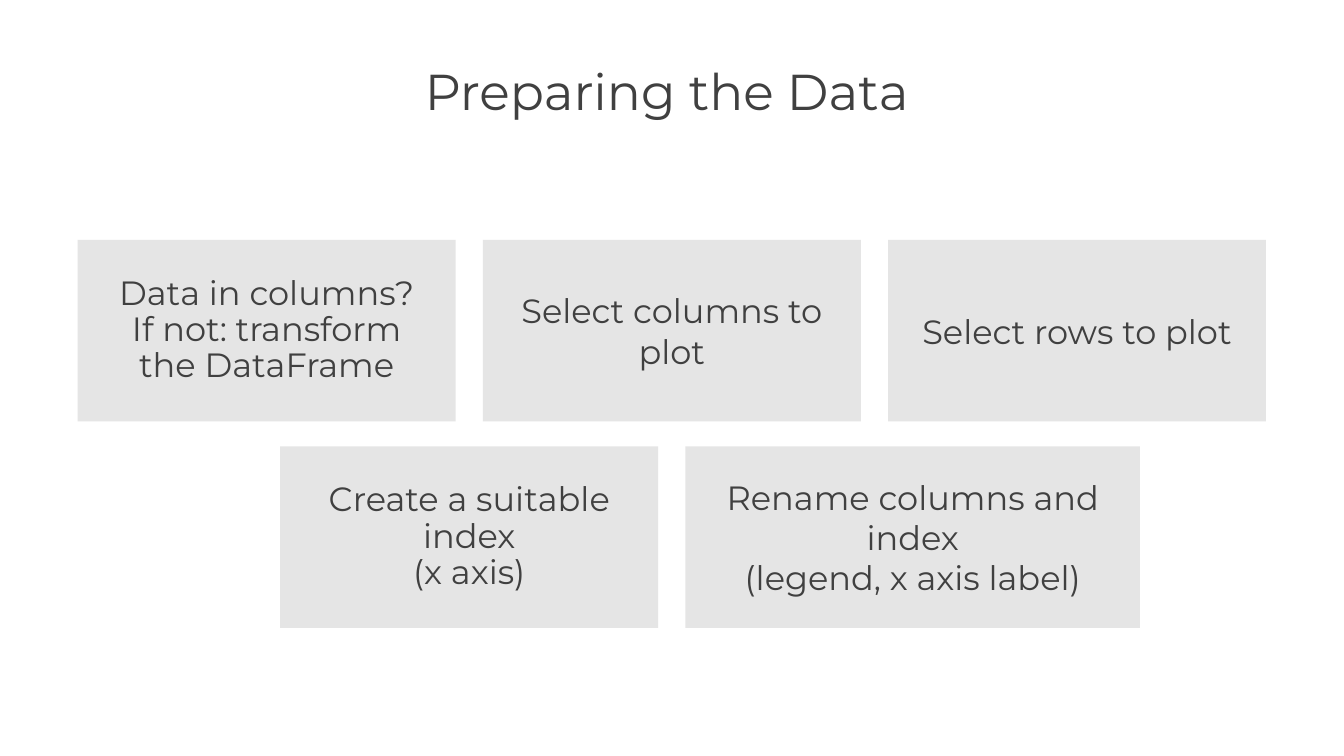
from pptx import Presentation
from pptx.dml.color import RGBColor
from pptx.enum.shapes import MSO_SHAPE
from pptx.enum.text import MSO_ANCHOR, MSO_AUTO_SIZE, PP_ALIGN
from pptx.util import Pt

FONT = "Montserrat"
INK = "404040"
PANEL = "E5E5E5"
LEFT = 55.44
CARD_WIDTH, CARD_HEIGHT = 270, 129.6
COLUMN_GAP, ROW_GAP = 19.44, 18

TOP_ROW = [
    (CARD_WIDTH, ["Data in columns? If not: transform the DataFrame"], 0.9),
    (CARD_WIDTH, ["Select columns to plot"], 1.0),
    (CARD_WIDTH, ["Select rows to plot"], 1.0),
]
BOTTOM_ROW = [
    (CARD_WIDTH, ["Create a suitable index\v(x axis)"], 0.9),
    (324.72, ["Rename columns and index", "(legend, x axis label)"], 1.0),
]


def color(value):
    """Return the colour for a hex string."""
    return RGBColor.from_string(value)


def set_frame(frame, anchor, insets):
    """Set wrapping, anchor and the left, top, right and bottom insets."""
    frame.word_wrap = True
    frame.auto_size = MSO_AUTO_SIZE.NONE
    frame.vertical_anchor = anchor
    frame.margin_left, frame.margin_top, frame.margin_right, frame.margin_bottom = map(Pt, insets)


def write_para(para, text, size, spacing):
    """Write centred text run by run, with a line break at each vertical tab."""
    para.alignment = PP_ALIGN.CENTER
    para.line_spacing = spacing
    for index, line in enumerate(text.split("\v")):
        if index:
            para.add_line_break()
        span = para.add_run()
        span.text = line
        span.font.name = FONT
        span.font.size = Pt(size)
        span.font.color.rgb = color(INK)


def add_title(page, left, top, width, height):
    """Place and fill the title placeholder."""
    title = page.shapes.title
    title.left, title.top, title.width, title.height = map(Pt, (left, top, width, height))
    set_frame(title.text_frame, MSO_ANCHOR.TOP, (0, 3.6, 7.2, 3.6))
    write_para(title.text_frame.paragraphs[0], "Preparing the Data", 36, 0.85)


def add_card(page, left, top, width, height, texts, spacing):
    """Draw one grey step card with centred text."""
    box = page.shapes.add_shape(MSO_SHAPE.RECTANGLE, *map(Pt, (left, top, width, height)))
    box.shadow.inherit = False
    box.fill.solid()
    box.fill.fore_color.rgb = color(PANEL)
    box.line.fill.background()
    frame = box.text_frame
    set_frame(frame, MSO_ANCHOR.MIDDLE, (21.6,) * 4)
    frame.paragraphs[0].space_before = Pt(18)
    for index, text in enumerate(texts):
        para = frame.add_paragraph() if index else frame.paragraphs[0]
        write_para(para, text, 24, spacing)


def add_row(page, left, top, cards):
    """Place cards side by side with equal gaps."""
    for width, texts, spacing in cards:
        add_card(page, left, top, width, CARD_HEIGHT, texts, spacing)
        left += width + COLUMN_GAP


def add_steps(page, left, top):
    """Place the two rows, the second shifted by half a column."""
    add_row(page, left, top, TOP_ROW)
    shift = (CARD_WIDTH + COLUMN_GAP) / 2
    add_row(page, left + shift, top + CARD_HEIGHT + ROW_GAP, BOTTOM_ROW)


def main():
    """Build and save the slide."""
    deck = Presentation()
    deck.slide_width, deck.slide_height = Pt(960), Pt(540)
    page = deck.slides.add_slide(deck.slide_layouts[5])
    add_title(page, LEFT, 46.08, 848.88, 34.56)
    add_steps(page, LEFT, 171.36)
    deck.save("out.pptx")


if __name__ == "__main__":
    main()
